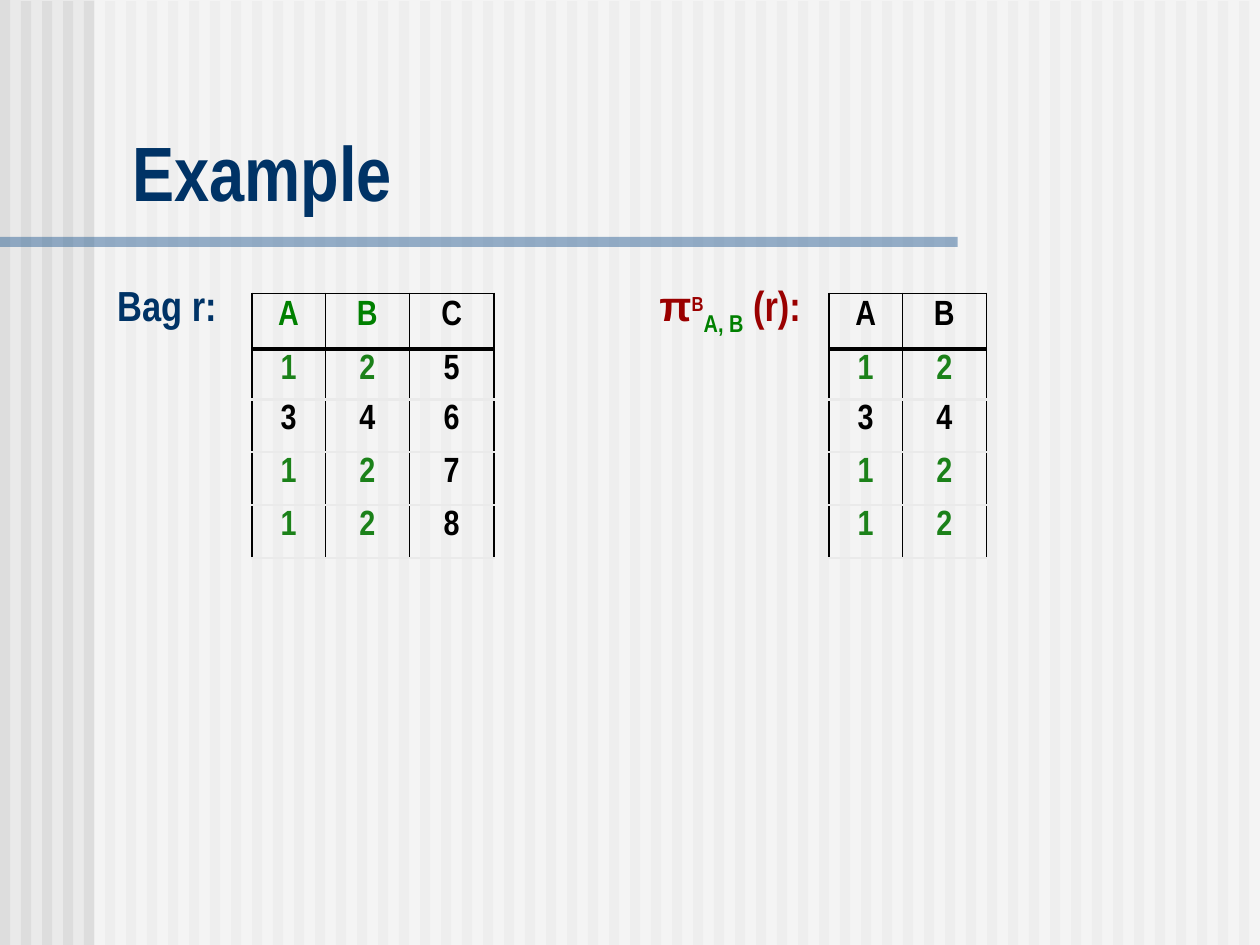
import pptx
import pptx.util
import pptx.dml.color
import pptx.enum.shapes
import pptx.enum.text
import pptx.oxml
import pptx.oxml.ns

Inches = pptx.util.Inches
Pt = pptx.util.Pt
RGB = pptx.dml.color.RGBColor.from_string
ALIGN = pptx.enum.text.PP_ALIGN
ANCHOR = pptx.enum.text.MSO_ANCHOR

THEME = {
    "background": "EAEAEA", "stripe": "DDDDDD", "veil": "FFFFFF", "rule": "336699",
    "navy": "003366", "red": "9A0000", "green": "008000", "match": "1B8119", "black": "000000",
    "narrow": "Arial Narrow", "symbol": "Arial",
    "title": 44, "label": 24, "superscript": 20, "cell": 20,
}


def add_span(para, text, color, size, font="narrow", baseline=0):
    """Add a bold run; baseline is its raise in percent of the type size."""
    span = para.add_run()
    span.text = text
    values = {"name": THEME[font], "size": Pt(THEME[size]), "bold": True}
    for name, value in values.items():
        setattr(span.font, name, value)
    span.font.color.rgb = RGB(THEME[color])
    if baseline:
        span._r.get_or_add_rPr().set("baseline", str(baseline * 1000))


def add_bar(page, left, top, width, height, color, opacity=100):
    bar = page.shapes.add_shape(
        pptx.enum.shapes.MSO_SHAPE.RECTANGLE,
        Inches(left), Inches(top), Inches(width), Inches(height))
    bar.shadow.inherit = False
    bar.line.fill.background()
    bar.fill.solid()
    bar.fill.fore_color.rgb = RGB(THEME[color])
    if opacity < 100:
        tint = bar.fill._xPr.find(".//" + pptx.oxml.ns.qn("a:srgbClr"))
        alpha = pptx.oxml.parse_xml(
            f'<a:alpha {pptx.oxml.ns.nsdecls("a")} val="{opacity * 1000}"/>')
        tint.append(alpha)


deck = pptx.Presentation()
deck.slide_width, deck.slide_height = Inches(10), Inches(7.5)
page = deck.slides.add_slide(deck.slide_layouts[5])
page.background.fill.solid()
page.background.fill.fore_color.rgb = RGB(THEME["background"])

# Striped backdrop, veiled right of the margin
for stripe in range(60):
    add_bar(page, stripe / 6, 0.01 if stripe else 0, 0.08, 7.5, "stripe")
add_bar(page, 0.75, 0, 9.26, 7.5, "veil", 50)
add_bar(page, 0, 1.88, 7.6, 0.08, "rule", 50)

# Title, brought in front of the backdrop
title = page.shapes.title
title._element.getparent().append(title._element)
place = {"left": 0.95, "top": 0.94, "width": 8.93, "height": 0.83}
for name, value in place.items():
    setattr(title, name, Inches(value))
title.text_frame.vertical_anchor = ANCHOR.BOTTOM
title.text_frame.auto_size = pptx.enum.text.MSO_AUTO_SIZE.SHAPE_TO_FIT_TEXT
para = title.text_frame.paragraphs[0]
para.alignment = ALIGN.LEFT
add_span(para, "Example", "navy", "title")

# Labels beside the tables
labels = [
    ((0.83, 2.17, 0.99, 0.5), [("Bag r:", "navy", "label")]),
    ((5, 2.17, 1.59, 0.56), [
        ("π", "red", "label", "symbol"),
        ("B", "red", "superscript", "narrow", 30),
        ("A, B", "green", "label", "narrow", -25),
        (" (r):", "red", "label"),
    ]),
]
for place, spans in labels:
    box = page.shapes.add_textbox(*map(Inches, place))
    box.text_frame.word_wrap = True
    box.text_frame.auto_size = pptx.enum.text.MSO_AUTO_SIZE.SHAPE_TO_FIT_TEXT
    para = box.text_frame.paragraphs[0]
    para.alignment = ALIGN.CENTER
    for span in spans:
        add_span(para, *span)

# Relation r and its projection on A and B
relation = ["ABC", "125", "346", "127", "128"]
row_heights = [0.44, 0.4, 0.42, 0.42, 0.42]
column_widths = [0.58, 0.67, 0.67]
tables = [(6.58, 2, "black"), (2, 3, "green")]
for left, columns, key_color in tables:
    frame = page.shapes.add_table(
        len(relation), columns, Inches(left), Inches(2.33),
        Inches(sum(column_widths[:columns])), Inches(sum(row_heights)))
    table = frame.table
    table.first_row = table.horz_banding = False
    for column, width in zip(table.columns, column_widths):
        column.width = Inches(width)
    for r, values in enumerate(relation):
        table.rows[r].height = Inches(row_heights[r])
        for c in range(columns):
            cell = table.cell(r, c)
            para = cell.text_frame.paragraphs[0]
            para.alignment = ALIGN.CENTER
            color = "black"
            if r == 0 and c < 2:
                color = key_color
            elif r and c < 2 and values.startswith("12"):
                color = "match"
            if r:
                para.line_spacing = 0.9
            add_span(para, values[c], color, "cell")

            inner = ("background", 1.47)
            header_rule = ("black", 3)
            borders = {
                "lnL": ("black", 0.45 if c else 1.08),
                "lnR": ("black", 0.45 if c < columns - 1 else 1.08),
                "lnT": [("black", 1.08), header_rule, inner][min(r, 2)],
                "lnB": inner if r else header_rule,
            }
            for tag, (line_color, width) in borders.items():
                cell._tc.get_or_add_tcPr().append(pptx.oxml.parse_xml(
                    f'<a:{tag} {pptx.oxml.ns.nsdecls("a")} w="{Pt(width)}"><a:solidFill>'
                    f'<a:srgbClr val="{THEME[line_color]}"/></a:solidFill></a:{tag}>'))
            cell.fill.background()

deck.save("out.pptx")
